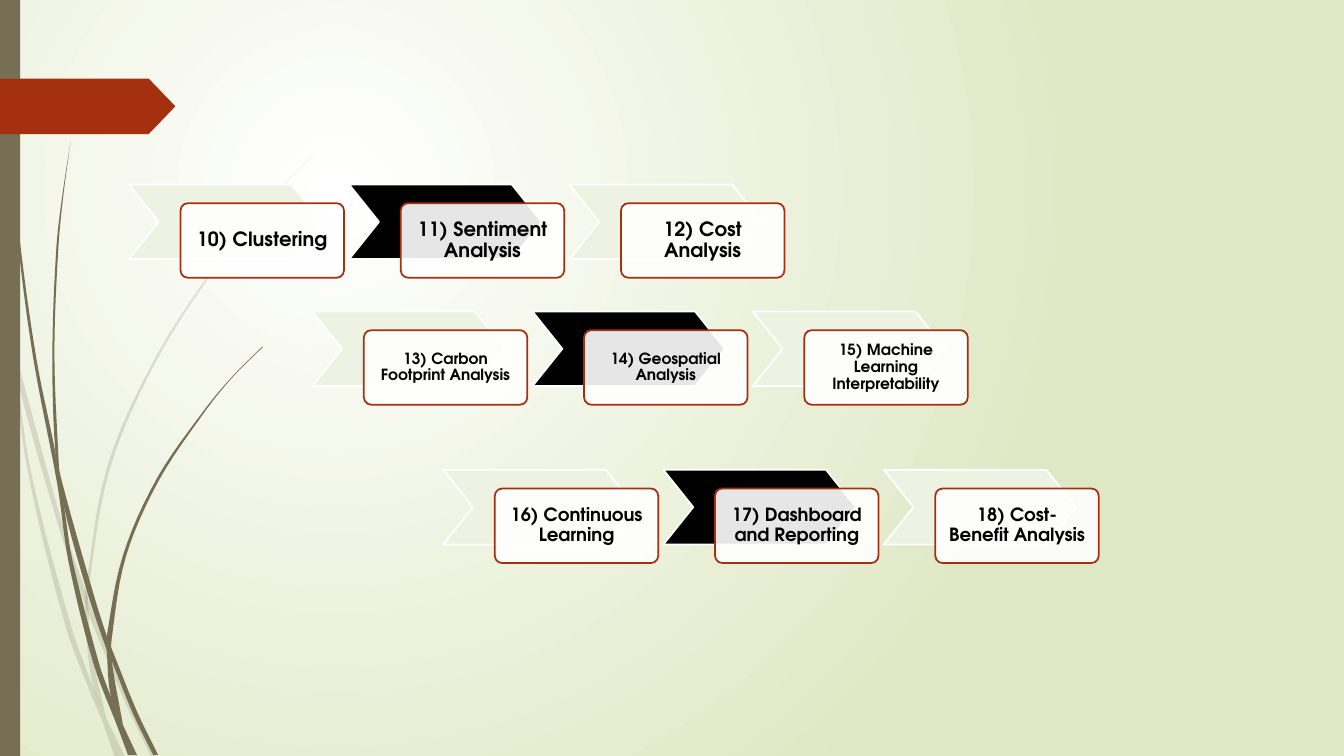
from collections import namedtuple
from dataclasses import dataclass

from lxml import etree
from pptx import Presentation
from pptx.dml.color import RGBColor
from pptx.enum.shapes import MSO_SHAPE
from pptx.enum.text import MSO_ANCHOR, PP_ALIGN
from pptx.oxml.ns import qn
from pptx.util import Cm, Pt

RECTANGLE = MSO_SHAPE.RECTANGLE
PENTAGON = MSO_SHAPE.PENTAGON
CHEVRON = MSO_SHAPE.CHEVRON
ROUNDED = MSO_SHAPE.ROUNDED_RECTANGLE
MIDDLE = MSO_ANCHOR.MIDDLE
CENTER = PP_ALIGN.CENTER

Box = namedtuple("Box", "left top width height")


@dataclass(frozen=True)
class Theme:
    font: str = "TeX Gyre Adventor"
    white: RGBColor = RGBColor(0xFF, 0xFF, 0xFF)
    black: RGBColor = RGBColor(0, 0, 0)
    background: RGBColor = RGBColor(0xDF, 0xE8, 0xC4)
    pale: RGBColor = RGBColor(0xEE, 0xF2, 0xE2)
    olive: RGBColor = RGBColor(0x76, 0x6F, 0x54)
    red: RGBColor = RGBColor(0xA5, 0x30, 0x10)
    outline: Pt = Pt(1.25)
    large: int = 14
    medium: int = 13
    small: int = 11


THEME = Theme()

WISP_GRID = 750
FAINT_WISPS = [
    ([(0, 282), (9, 322), (17, 376), (31, 469), (70, 619), (93, 683), (105, 711), (124, 751)],
     [(0, 299), (11, 350), (28, 470), (65, 621), (92, 693), (101, 714), (114, 751)]),
    ([(14, 345), (62, 520), (85, 586), (92, 607), (127, 692), (155, 751)],
     [(14, 345), (17, 376), (58, 522), (84, 599), (88, 610), (123, 694), (150, 751)]),
    ([(312, 153), (268, 198), (229, 245), (160, 349), (110, 462), (88, 584),
      (88, 610), (91, 646), (105, 711)],
     [(312, 153), (268, 197), (228, 244), (158, 348), (107, 461), (85, 584),
      (84, 599), (87, 646), (93, 683), (105, 711)]),
]
STRONG_WISPS = [
    ([(4, 0), (5, 48), (8, 109), (19, 232), (36, 355), (55, 449), (64, 505),
      (72, 556), (98, 657), (110, 691), (122, 719), (136, 749)],
     [(3, 0), (4, 48), (7, 110), (17, 233), (33, 355), (57, 481), (68, 557),
      (93, 659), (117, 722), (127, 749)]),
    ([(70, 141), (63, 193), (58, 245), (54, 349), (58, 453), (60, 472),
      (93, 590), (106, 631), (113, 649), (136, 706), (157, 749)],
     [(70, 141), (62, 193), (56, 245), (52, 349), (55, 449), (64, 505),
      (88, 592), (106, 645), (111, 656), (132, 708), (152, 749)]),
    ([(261, 344), (231, 374), (205, 406), (158, 476), (125, 552), (111, 633),
      (111, 656), (122, 719)],
     [(260, 344), (231, 373), (204, 405), (156, 474), (122, 551), (106, 631),
      (106, 645), (110, 691), (122, 719)]),
]

FLOWS = [
    (3.25, 4.65, THEME.large, ["10) Clustering", "11) Sentiment Analysis", "12) Cost Analysis"]),
    (7.87, 7.85, THEME.small, ["13) Carbon Footprint Analysis", "14) Geospatial Analysis",
                               "15) Machine Learning Interpretability"]),
    (11.17, 11.84, THEME.medium, ["16) Continuous Learning", "17) Dashboard and Reporting",
                                  "18) Cost-Benefit Analysis"]),
]


def style(shape, fill, line=None, opacity=100):
    shape.shadow.inherit = False
    shape.fill.solid()
    shape.fill.fore_color.rgb = fill
    if opacity < 100:
        color = shape.fill._xPr.find(qn("a:solidFill"))[0]
        etree.SubElement(color, qn("a:alpha"), val=str(opacity * 1000))
    if line is None:
        shape.line.fill.background()
    else:
        shape.line.color.rgb = line
        shape.line.width = THEME.outline


def smooth_edge(points, steps=6):
    last = len(points) - 1
    slopes = []
    for index in range(last + 1):
        before, after = points[max(index - 1, 0)], points[min(index + 1, last)]
        slopes.append((after[0] - before[0]) / (after[1] - before[1]))
    curve = []
    for index in range(last):
        (x0, y0), (x1, y1) = points[index:index + 2]
        rise = y1 - y0
        for step in range(steps):
            t = step / steps
            x = ((2 * t**3 - 3 * t**2 + 1) * x0 + (3 * t**2 - 2 * t**3) * x1
                 + rise * ((t**3 - 2 * t**2 + t) * slopes[index]
                           + (t**3 - t**2) * slopes[index + 1]))
            curve.append((x, y0 + t * rise))
    return curve + [points[-1]]


def draw_wisps(slide, box, wisps, opacity):
    unit = box.height / WISP_GRID
    group = slide.shapes.add_group_shape()
    for right_edge, left_edge in wisps:
        outline = smooth_edge(right_edge) + smooth_edge(left_edge)[::-1]
        points = [(box.left + x * unit, box.top + y * unit) for x, y in outline]
        builder = group.shapes.build_freeform(*points[0])
        builder.add_line_segments(points[1:], close=True)
        style(builder.convert_to_shape(), THEME.olive, opacity=opacity)


def draw_background(slide):
    fill = slide.background.fill
    fill.gradient()
    for stop, color in zip(fill.gradient_stops, (THEME.white, THEME.background)):
        stop.color.rgb = color
    gradient = slide.element.find(".//" + qn("a:gradFill"))
    gradient.remove(gradient.find(qn("a:lin")))
    circle = etree.SubElement(gradient, qn("a:path"), path="circle")
    etree.SubElement(circle, qn("a:fillToRect"), l="50000", t="50000", r="100000", b="100000")


def draw_side_band(slide, box):
    draw_wisps(slide, box, FAINT_WISPS, 20)
    draw_wisps(slide, box, STRONG_WISPS, 100)
    bar = slide.shapes.add_shape(RECTANGLE, box.left, box.top, Cm(0.51), box.height)
    style(bar, THEME.olive)
    tag = slide.shapes.add_shape(PENTAGON, box.left, box.top + Cm(1.98), Cm(4.42), Cm(1.4))
    tag.adjustments[0] = 0.48
    style(tag, THEME.red)


def write_label(card, text, size):
    frame = card.text_frame
    frame.word_wrap = True
    frame.vertical_anchor = MIDDLE
    margin = Cm(0.02 * size)
    frame.margin_left = frame.margin_right = margin
    frame.margin_top = frame.margin_bottom = margin
    paragraph = frame.paragraphs[0]
    paragraph.text = text
    paragraph.alignment = CENTER
    paragraph.line_spacing = 0.9
    paragraph.font.name = THEME.font
    paragraph.font.size = Pt(size)
    paragraph.font.bold = True
    paragraph.font.color.rgb = THEME.black


def draw_flow(slide, box, labels, size):
    group = slide.shapes.add_group_shape()
    card_width = Cm(4.12)
    card_shift, card_drop = Cm(1.3), Cm(0.47)
    pitch = (box.width - card_shift - card_width) // (len(labels) - 1)
    height = box.height - card_drop
    for index, label in enumerate(labels):
        left = box.left + index * pitch
        chevron = group.shapes.add_shape(CHEVRON, left, box.top, Cm(4.85), height)
        chevron.adjustments[0] = 0.4
        style(chevron, THEME.black if index % 2 else THEME.pale, THEME.white)
        card = group.shapes.add_shape(
            ROUNDED, left + card_shift, box.top + card_drop, card_width, height)
        card.adjustments[0] = 0.1
        style(card, THEME.white, THEME.red, opacity=90)
        write_label(card, label, size)


def main():
    presentation = Presentation()
    presentation.slide_width = Cm(33.87)
    presentation.slide_height = Cm(19.05)
    slide = presentation.slides.add_slide(presentation.slide_layouts[6])
    draw_background(slide)
    draw_side_band(slide, Box(0, 0, Cm(8), presentation.slide_height))
    for left, top, size, labels in FLOWS:
        draw_flow(slide, Box(Cm(left), Cm(top), Cm(16.52), Cm(2.35)), labels, size)
    presentation.save("out.pptx")


main()
